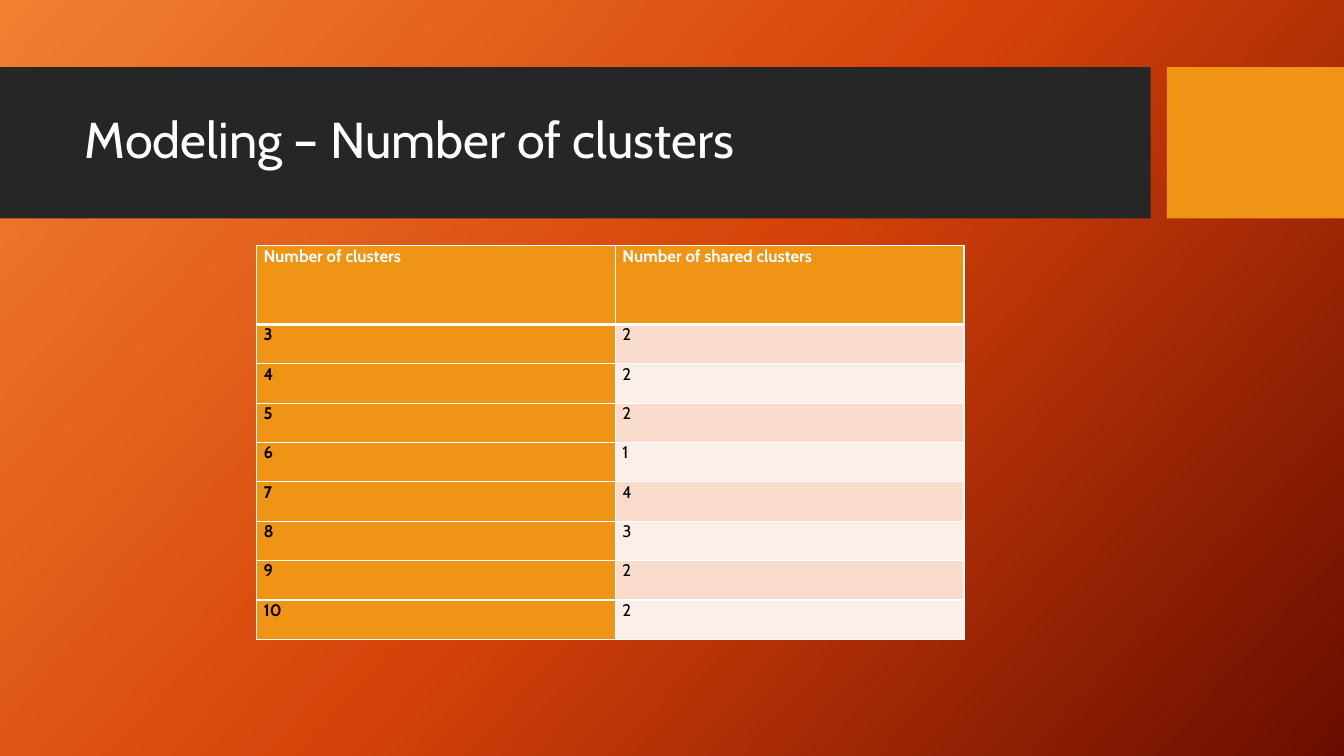
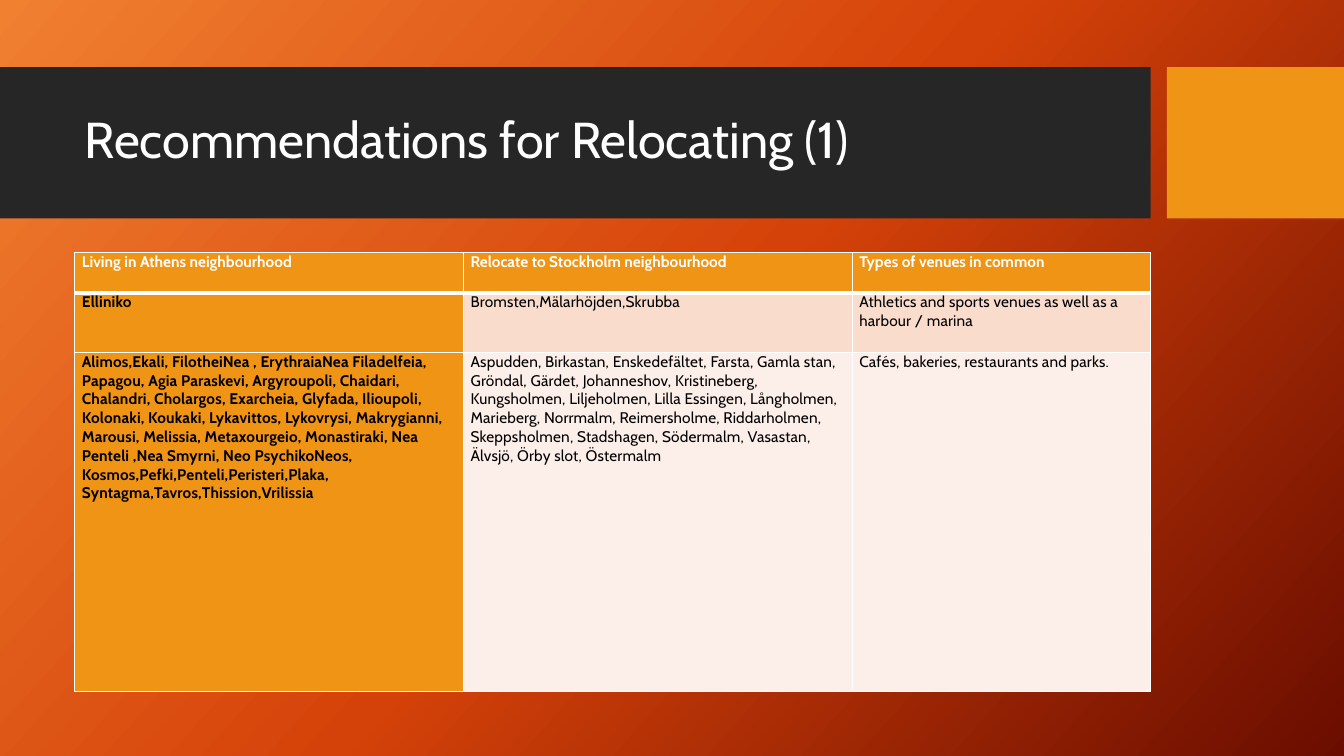
from copy import deepcopy
from dataclasses import dataclass

from lxml import etree
from pptx import Presentation
from pptx.dml.color import RGBColor
from pptx.enum import shapes, text
from pptx.oxml import ns
from pptx.util import Pt


@dataclass(frozen=True)
class Theme:
    font: str = "Cabin"
    title_size: float = 36
    gradient: tuple = ("F18031", "D54209", "6A0D00")
    gradient_angle: float = 318
    band: str = "262626"
    accent: str = "F09415"
    light: str = "FFFFFF"
    dark: str = "000000"
    stripes: tuple = ("F9DCCC", "FCEEE8")
    thin: float = 1
    thick: float = 3


class Deck:
    WIDTH, HEIGHT = 960, 540
    BAND_TOP, BAND_HEIGHT = 48, 108
    BAND_WIDTH, ACCENT_LEFT = 822, 833.5

    def __init__(self, theme):
        self.theme = theme
        self.prs = Presentation()
        self.prs.slide_width, self.prs.slide_height = Pt(self.WIDTH), Pt(self.HEIGHT)
        self.layout = self.prs.slide_layouts.get_by_name("Title Only")
        self.s = None
        self.background()

    def background(self):
        """Give the shared layout its evenly spaced colour gradient."""
        fill = self.layout.background.fill
        fill.gradient()
        fill.gradient_angle = self.theme.gradient_angle
        last = list(self.layout.element.iter(ns.qn("a:gs")))[-1]
        last.addnext(deepcopy(last))
        colors = self.theme.gradient
        for i, (stop, color) in enumerate(zip(fill.gradient_stops, colors)):
            stop.position = i / (len(colors) - 1)
            stop.color.rgb = RGBColor.from_string(color)

    def slide(self, title):
        self.s = self.prs.slides.add_slide(self.layout)
        self.band(0, self.BAND_WIDTH, self.theme.band)
        self.band(self.ACCENT_LEFT, self.WIDTH - self.ACCENT_LEFT, self.theme.accent)
        self.title(title)

    def band(self, left, width, color):
        sp = self.s.shapes.add_shape(
            shapes.MSO_SHAPE.RECTANGLE,
            Pt(left), Pt(self.BAND_TOP), Pt(width), Pt(self.BAND_HEIGHT))
        sp.shadow.inherit = False
        sp.fill.solid()
        sp.fill.fore_color.rgb = RGBColor.from_string(color)
        sp.line.fill.background()

    def title(self, words):
        sp = self.s.shapes.title
        self.s.shapes.element.append(sp.element)  # in front of the bands
        sp.left, sp.top, sp.width, sp.height = Pt(53.3), Pt(59), Pt(757), Pt(85)
        tf = sp.text_frame
        tf.word_wrap = True
        tf.auto_size = text.MSO_AUTO_SIZE.NONE
        tf.vertical_anchor = text.MSO_ANCHOR.MIDDLE
        p = tf.paragraphs[0]
        p.alignment = text.PP_ALIGN.LEFT
        p.line_spacing = 0.9
        self.run(p, words, self.theme.title_size, self.theme.light)

    def run(self, p, words, size, color, bold=False):
        r = p.add_run()
        r.text = words
        r.font.name = self.theme.font
        r.font.size = Pt(size)
        r.font.bold = bold
        r.font.color.rgb = RGBColor.from_string(color)
        return r

    def table(self, left, top, widths, heights, rows, size, spacing=0):
        """Add a table with a header row; spacing is body tracking in points."""
        t = self.theme
        table = self.s.shapes.add_table(
            len(rows), len(widths), Pt(left), Pt(top),
            Pt(sum(widths)), Pt(sum(heights))).table
        for column, width in zip(table.columns, widths):
            column.width = Pt(width)
        for i, (row, height) in enumerate(zip(rows, heights)):
            table.rows[i].height = Pt(height)
            for j, words in enumerate(row):
                cell = table.cell(i, j)
                cell.margin_left = cell.margin_right = Pt(5)
                cell.margin_top = cell.margin_bottom = 0
                self.borders(cell, i)
                cell.fill.solid()
                fill = t.accent if i == 0 or j == 0 else t.stripes[(i - 1) % 2]
                cell.fill.fore_color.rgb = RGBColor.from_string(fill)
                r = self.run(cell.text_frame.paragraphs[0], words, size,
                             t.dark if i else t.light, bold=i == 0 or j == 0)
                if i and spacing:
                    r.font._element.set("spc", str(round(spacing * 100)))

    def borders(self, cell, row):
        """Draw thin cell lines, with a thick one below the header."""
        t = self.theme
        thick_side = {0: "lnB", 1: "lnT"}.get(row)
        tc_pr = cell._tc.get_or_add_tcPr()
        for side in ("lnL", "lnR", "lnT", "lnB"):
            width = t.thick if side == thick_side else t.thin
            line = etree.SubElement(tc_pr, ns.qn("a:" + side), w=str(Pt(width)))
            fill = etree.SubElement(line, ns.qn("a:solidFill"))
            etree.SubElement(fill, ns.qn("a:srgbClr"), val=t.light)


SHARED_CLUSTERS = {3: 2, 4: 2, 5: 2, 6: 1, 7: 4, 8: 3, 9: 2, 10: 2}

RELOCATIONS = [
    ("Living in Athens neighbourhood",
     "Relocate to Stockholm neighbourhood",
     "Types of venues in common"),
    ("Elliniko",
     "Bromsten,Mälarhöjden,Skrubba",
     "Athletics and sports venues as well as a harbour / marina"),
    ("Alimos,Ekali, FilotheiNea , ErythraiaNea Filadelfeia, Papagou, "
     "Agia Paraskevi, Argyroupoli, Chaidari, Chalandri, Cholargos, Exarcheia, "
     "Glyfada, Ilioupoli, Kolonaki, Koukaki, Lykavittos, Lykovrysi, "
     "Makrygianni, Marousi, Melissia, Metaxourgeio, Monastiraki, Nea Penteli "
     ",Nea Smyrni, Neo PsychikoNeos, Kosmos,Pefki,Penteli,Peristeri,Plaka, "
     "Syntagma,Tavros,Thission,Vrilissia",
     "Aspudden, Birkastan, Enskedefältet, Farsta, Gamla stan, Gröndal, Gärdet, "
     "Johanneshov, Kristineberg, Kungsholmen, Liljeholmen, Lilla Essingen, "
     "Långholmen, Marieberg, Norrmalm, Reimersholme, Riddarholmen, "
     "Skeppsholmen, Stadshagen, Södermalm, Vasastan, Älvsjö, Örby slot, "
     "Östermalm",
     "Cafés, bakeries, restaurants and parks."),
]


def main():
    deck = Deck(Theme())

    deck.slide("Modeling – Number of clusters")
    rows = [("Number of clusters", "Number of shared clusters")]
    rows += [(str(n), str(shared)) for n, shared in SHARED_CLUSTERS.items()]
    row_height = 28.12
    heights = [2 * row_height] + [row_height] * len(SHARED_CLUSTERS)
    deck.table(183.3, 175.5, (256.3, 249), heights, rows, size=12)

    deck.slide("Recommendations for Relocating (1)")
    deck.table(53.5, 180.5, (277.7, 277.7, 213.2), (28.6, 42.6, 242),
               RELOCATIONS, size=11, spacing=0.1)

    deck.prs.save("out.pptx")


if __name__ == "__main__":
    main()
